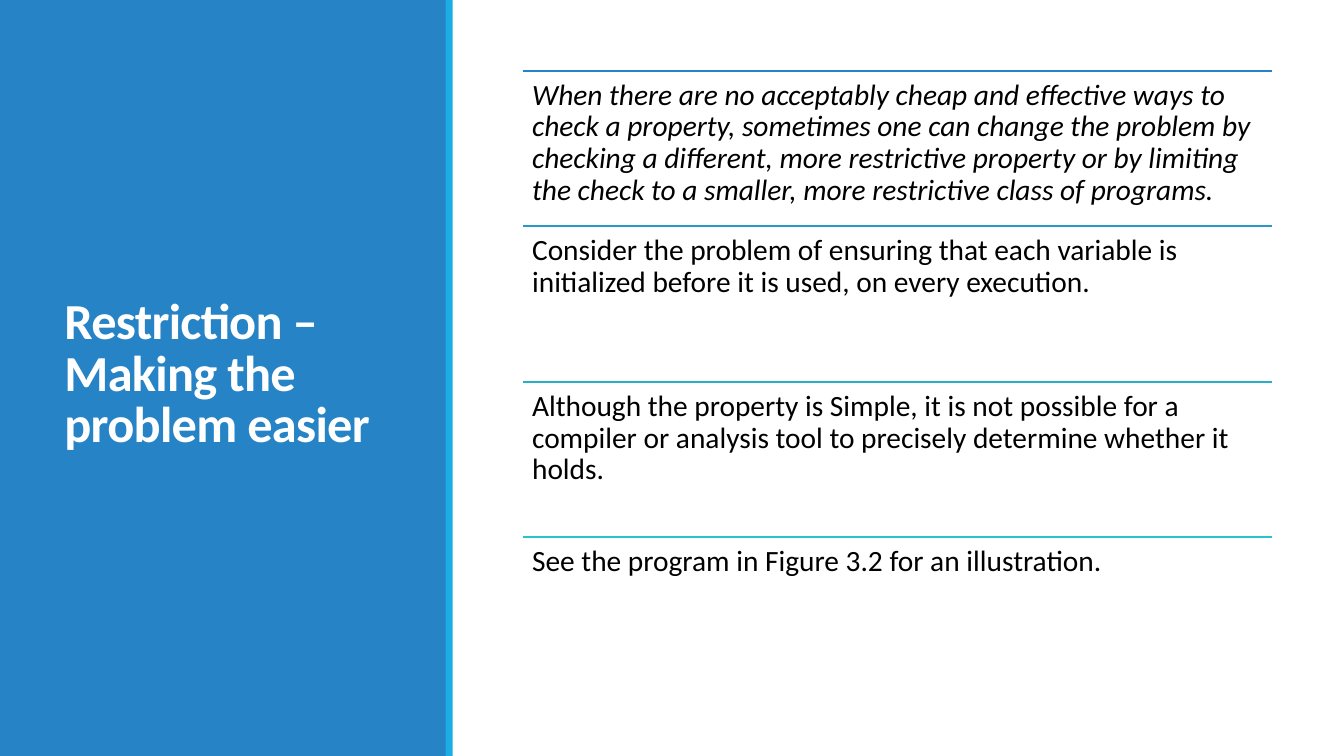
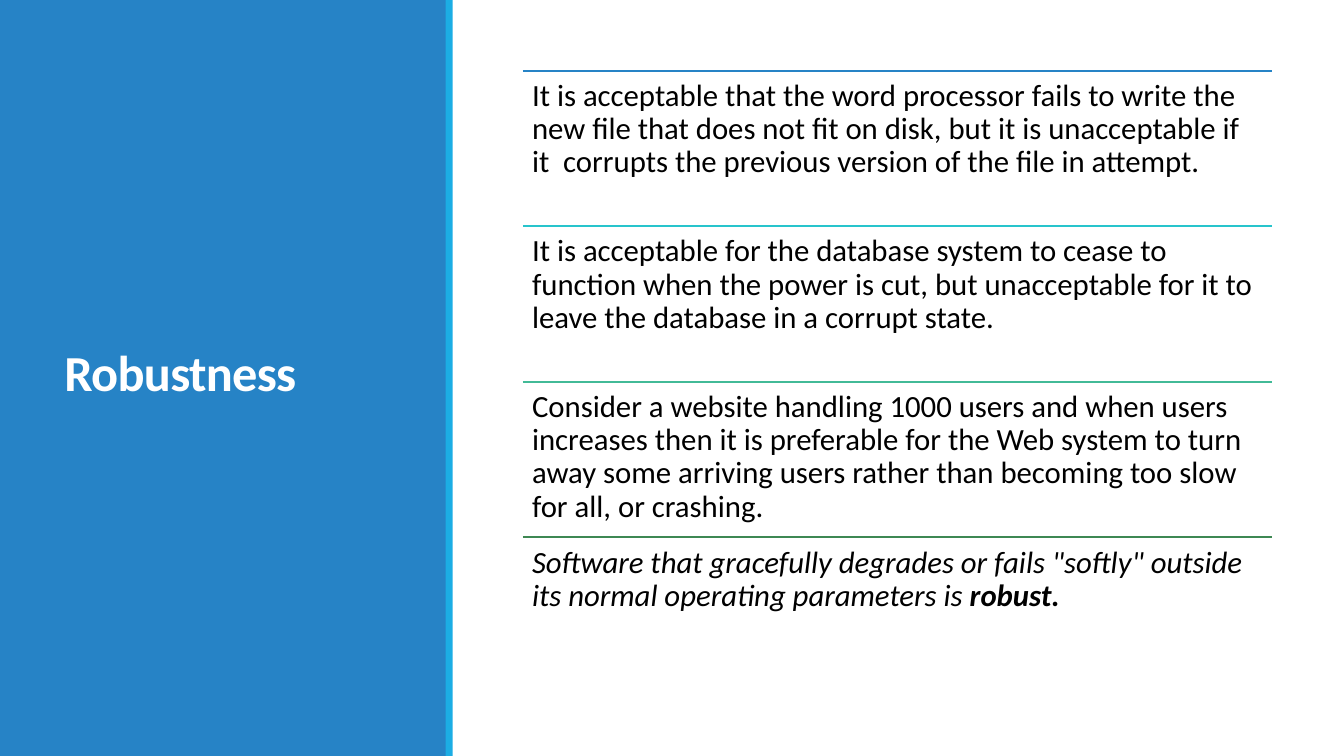
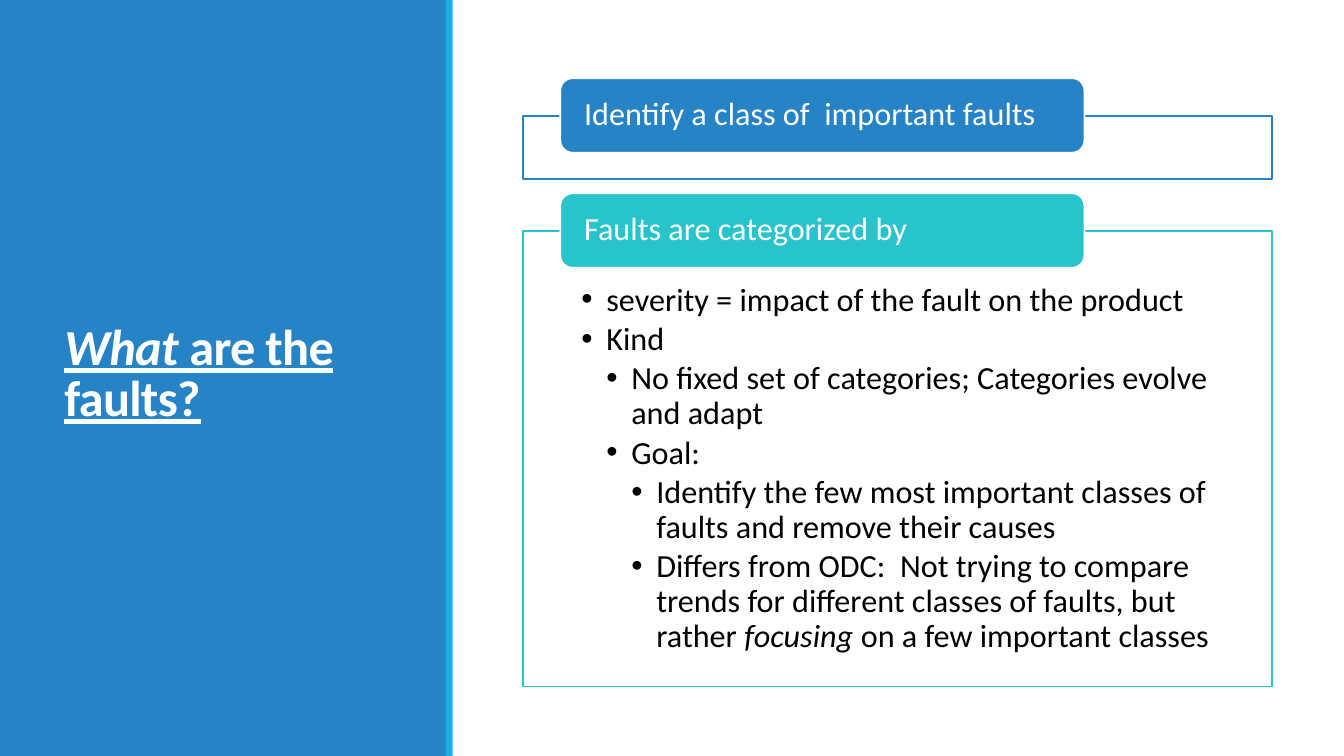
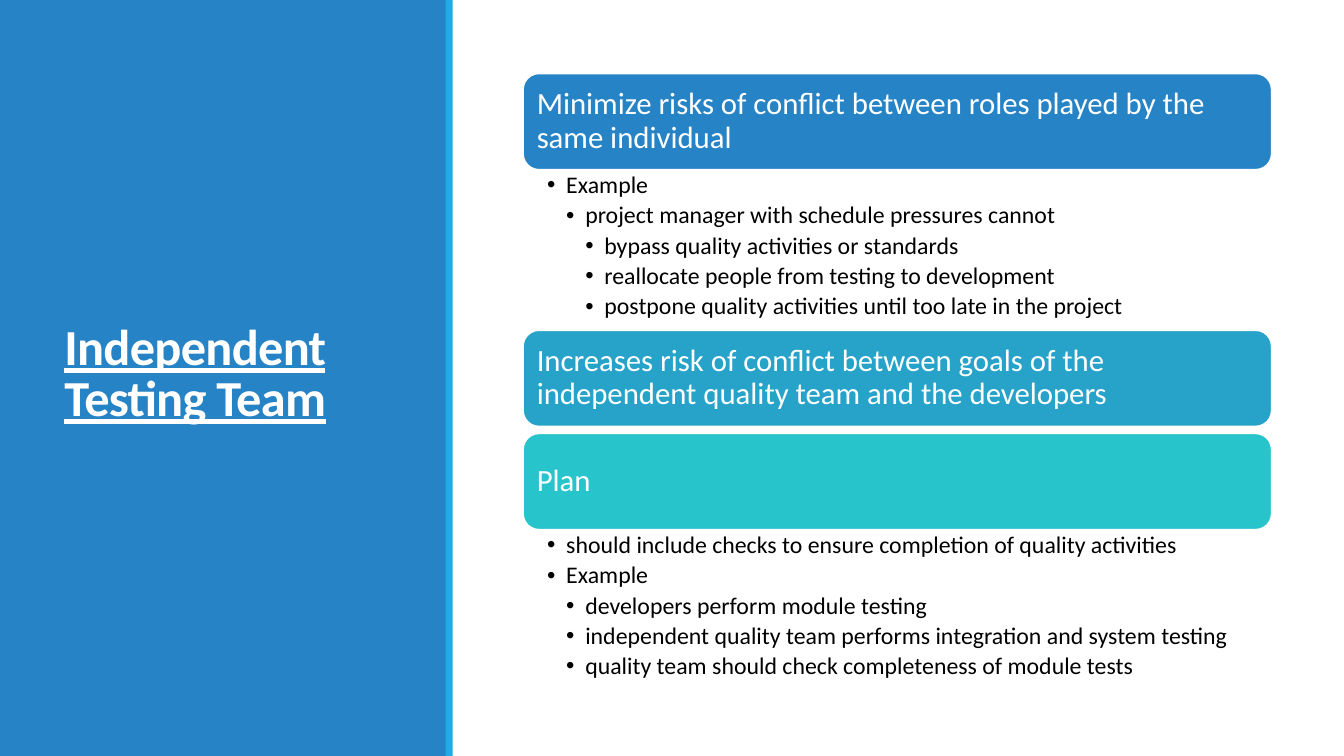
from pptx import Presentation
from pptx.dml.color import RGBColor
from pptx.enum.shapes import MSO_CONNECTOR, MSO_SHAPE, PP_PLACEHOLDER
from pptx.enum.text import MSO_ANCHOR, MSO_AUTO_SIZE, PP_ALIGN
from pptx.oxml.ns import qn
from pptx.util import Cm, Pt
from lxml.etree import SubElement

BLUE = RGBColor(0x26, 0x83, 0xC6)
SKY = RGBColor(0x1C, 0xAD, 0xE4)
OCEAN = RGBColor(0x27, 0x98, 0xC8)
LAGOON = RGBColor(0x27, 0xA3, 0xC9)
CYAN = RGBColor(0x27, 0xAE, 0xCA)
TEAL = RGBColor(0x28, 0xC4, 0xCC)
MINT = RGBColor(0x42, 0xBA, 0x97)
GREEN = RGBColor(0x3E, 0x88, 0x53)
WHITE = RGBColor(0xFF, 0xFF, 0xFF)
BLACK = RGBColor(0, 0, 0)

FONT = "Calibri"
LINE_WIDTH = Pt(1.25)
LEFT, WIDTH = 13.18, 18.87  # content column, in cm


def write(paragraph, text, size, color, line_spacing=0.9):
    """Fill a paragraph; text between asterisks becomes italic."""
    for index, piece in enumerate(text.split("*")):
        if piece:
            run = paragraph.add_run()
            run.text = piece
            if index % 2:
                run.font.italic = True
    paragraph.alignment = PP_ALIGN.LEFT
    paragraph.line_spacing = line_spacing
    paragraph.space_before = Pt(0)
    paragraph.font.name = FONT
    paragraph.font.size = Pt(size)
    paragraph.font.color.rgb = color


def add_box(slide, kind, left, top, width, height, fill, outline=None):
    """Add a preset shape without shadow; lengths are in cm."""
    shape = slide.shapes.add_shape(kind, Cm(left), Cm(top), Cm(width), Cm(height))
    shape.shadow.inherit = False
    shape.fill.solid()
    shape.fill.fore_color.rgb = fill
    if outline is None:
        shape.line.fill.background()
    else:
        shape.line.color.rgb = outline
        shape.line.width = LINE_WIDTH
    return shape


presentation = Presentation()
presentation.slide_width, presentation.slide_height = Cm(33.87), Cm(19.05)
master = presentation.slide_master
content_layout, two_content_layout, title_layout = (
    presentation.slide_layouts[index] for index in (1, 3, 5))

# Slides and titles
titles = [
    (title_layout, "Restriction – Making the problem easier", False),
    (title_layout, "Robustness", False),
    (content_layout, "*What* are the faults?", True),
    (two_content_layout, "Independent Testing Team", True),
]
for layout, text, underline in titles:
    slide = presentation.slides.add_slide(layout)
    frame = slide.shapes.title.text_frame
    frame.auto_size = MSO_AUTO_SIZE.NONE
    frame.vertical_anchor = MSO_ANCHOR.MIDDLE
    paragraph = frame.paragraphs[0]
    write(paragraph, text, 36, WHITE, 0.85)
    paragraph.font.bold = True
    paragraph.font.underline = underline
    for run in paragraph.runs:
        run.font._element.set("spc", "-50")
restriction, robustness, faults, team = presentation.slides

# Side panel, stripe and title place belong to the slide master
panel = add_box(restriction, MSO_SHAPE.RECTANGLE, 0, 0, 11.25, 19.05, BLUE)
stripe = add_box(restriction, MSO_SHAPE.RECTANGLE, 11.23, 0, 0.18, 19.05, SKY)
for position, shape in enumerate((panel, stripe), start=2):
    shape.element.nvSpPr.cNvPr.set("id", str(20 + position))
    master.shapes.element.insert(position, shape.element)
master_title = master.placeholders.get(PP_PLACEHOLDER.TITLE)
master_title.left, master_title.top = Cm(1.37), Cm(1.45)
master_title.width, master_title.height = Cm(8.56), Cm(16.03)

# Ruled statements
ROW_TOP, ROW_HEIGHT = 1.78, 3.92
statement_slides = [
    (restriction, 21, [
        (BLUE, "*When there are no acceptably cheap and effective ways to check a "
               "property, sometimes one can change the problem by checking a different, "
               "more restrictive property or by limiting the check to a smaller, more "
               "restrictive class of programs.*"),
        (OCEAN, "Consider the problem of ensuring that each variable is initialized "
                "before it is used, on every execution."),
        (CYAN, "Although the property is Simple, it is not possible for a compiler or "
               "analysis tool to precisely determine whether it holds."),
        (TEAL, "See the program in Figure 3.2 for an illustration."),
    ]),
    (robustness, 22, [
        (BLUE, "It is acceptable that the word processor fails to write the new file "
               "that does not fit on disk, but it is unacceptable if it  corrupts the "
               "previous version of the file in attempt."),
        (TEAL, "It is acceptable for the database system to cease to function when the "
               "power is cut, but unacceptable for it to leave the database in a corrupt "
               "state."),
        (MINT, "Consider a website handling 1000 users and when users increases then it "
               "is preferable for the Web system to turn away some arriving users rather "
               "than becoming too slow for all, or crashing."),
        (GREEN, "*Software that gracefully degrades or fails \"softly\" outside its "
                "normal operating parameters is **robust.*"),
    ]),
]
for slide, size, statements in statement_slides:
    for row, (color, text) in enumerate(statements):
        top = Cm(ROW_TOP + row * ROW_HEIGHT)
        rule = slide.shapes.add_connector(
            MSO_CONNECTOR.STRAIGHT, Cm(LEFT), top, Cm(LEFT + WIDTH), top)
        rule.line.color.rgb = color
        rule.line.width = LINE_WIDTH
        SubElement(rule.element.spPr, qn("a:effectLst"))
        statement = slide.shapes.add_textbox(Cm(LEFT), top, Cm(WIDTH), Cm(ROW_HEIGHT))
        frame = statement.text_frame
        frame.word_wrap = True
        frame.margin_left = frame.margin_right = Cm(0.23)
        frame.margin_top = frame.margin_bottom = Cm(0.23)
        write(frame.paragraphs[0], text, size, BLACK)
# The last statement ends in the term being defined
frame.paragraphs[0].runs[-1].font.bold = True

# Framed headings of the faults slide
HEADING_RISE = 0.95
fault_list = faults.placeholders[1]
fault_list.left, fault_list.top = Cm(LEFT), Cm(5.82)
fault_list.width, fault_list.height = Cm(WIDTH), Cm(11.48)
fault_list.fill.solid()
fault_list.fill.fore_color.rgb = WHITE
fault_list.line.color.rgb = TEAL
fault_list.line.width = LINE_WIDTH
add_box(faults, MSO_SHAPE.RECTANGLE, LEFT, 2.92, WIDTH, 1.6, WHITE, BLUE)

headings = []
for top, color, text in [(2.92, BLUE, "Identify a class of  important faults"),
                         (5.82, TEAL, "Faults are categorized by")]:
    heading = add_box(faults, MSO_SHAPE.ROUNDED_RECTANGLE, 14.12, top - HEADING_RISE,
                      13.21, 1.88, color, WHITE)
    headings.append((heading, text, 23, 0.51))

# Headings and lists of the team slide, stacked from the top
HEADING_HEIGHT, LIST_HEIGHT, GAP = 2.43, 4.04, 0.17
conflict_list, plan_list = team.placeholders[1], team.placeholders[2]
top = 1.85
for color, text, below in [
    (BLUE, "Minimize risks of conflict between roles played by the same individual",
     conflict_list),
    (LAGOON, "Increases risk of conflict between goals of the independent quality team "
             "and the developers", None),
    (TEAL, "Plan", plan_list),
]:
    heading = add_box(team, MSO_SHAPE.ROUNDED_RECTANGLE, LEFT, top, WIDTH,
                      HEADING_HEIGHT, color, WHITE)
    headings.append((heading, text, 22, 0.23))
    top += HEADING_HEIGHT
    if below is None:
        top += GAP
    else:
        below.left, below.top = Cm(LEFT), Cm(top)
        below.width, below.height = Cm(WIDTH), Cm(LIST_HEIGHT)
        top += LIST_HEIGHT

for heading, text, size, margin in headings:
    frame = heading.text_frame
    frame.word_wrap = True
    frame.vertical_anchor = MSO_ANCHOR.MIDDLE
    frame.margin_left = frame.margin_right = Cm(margin)
    frame.margin_top = frame.margin_bottom = Cm(0)
    write(frame.paragraphs[0], text, size, WHITE)

# Bulleted lists: size, indent step, margins (left, top, right, bottom), items by level
TEAM_MARGINS = (0.61, 0.08, 0.43, 0.08)
bullet_lists = [
    (fault_list, 23, 0.63, (1.47, 1.32, 1.47, 0.46), [
        (0, "severity = impact of the fault on the product"),
        (0, "Kind"),
        (1, "No fixed set of categories; Categories evolve and adapt"),
        (1, "Goal:"),
        (2, "Identify the few most important classes of faults and remove their causes"),
        (2, "Differs from ODC:  Not trying to compare trends for different classes of "
            "faults, but rather *focusing* on a few important classes"),
    ]),
    (conflict_list, 17, 0.48, TEAM_MARGINS, [
        (0, "Example"),
        (1, "project manager with schedule pressures cannot"),
        (2, "bypass quality activities or standards"),
        (2, "reallocate people from testing to development"),
        (2, "postpone quality activities until too late in the project"),
    ]),
    (plan_list, 17, 0.48, TEAM_MARGINS, [
        (0, "should include checks to ensure completion of quality activities"),
        (0, "Example"),
        (1, "developers perform module testing"),
        (1, "independent quality team performs integration and system testing"),
        (1, "quality team should check completeness of module tests"),
    ]),
]
for placeholder, size, step, margins, items in bullet_lists:
    frame = placeholder.text_frame
    frame.auto_size = MSO_AUTO_SIZE.NONE
    frame.vertical_anchor = MSO_ANCHOR.TOP
    (frame.margin_left, frame.margin_top,
     frame.margin_right, frame.margin_bottom) = map(Cm, margins)
    for index, (level, text) in enumerate(items):
        paragraph = frame.add_paragraph() if index else frame.paragraphs[0]
        paragraph.level = level
        paragraph.space_after = Pt(3.3)
        write(paragraph, text, size, BLACK)
        properties = paragraph._p.get_or_add_pPr()
        properties.set("marL", str(Cm(step * (level + 1))))
        properties.set("indent", str(-Cm(step)))
        bullet_font = properties.makeelement(qn("a:buFont"), {"typeface": "Arial"})
        bullet = properties.makeelement(qn("a:buChar"), {"char": "•"})
        default_font = properties.find(qn("a:defRPr"))
        default_font.addprevious(bullet_font)
        default_font.addprevious(bullet)

presentation.save("out.pptx")
